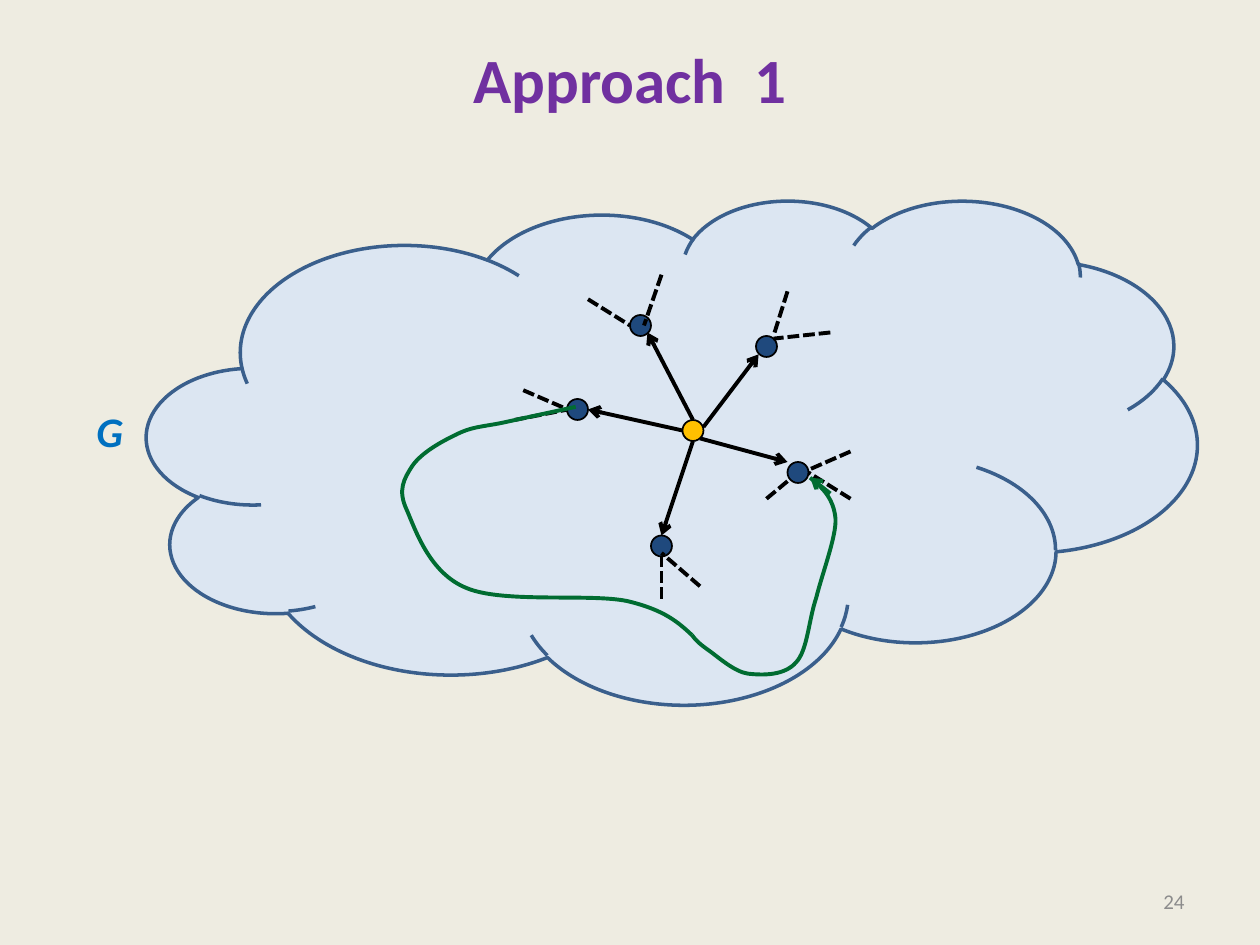
from pptx import Presentation
from pptx.dml.color import RGBColor
from pptx.enum.dml import MSO_LINE
from pptx.enum.shapes import MSO_CONNECTOR as Conn, MSO_SHAPE as Shape
from pptx.enum.text import MSO_ANCHOR as Anchor, PP_ALIGN as Align
from pptx.oxml.ns import qn
from pptx.util import Pt
from lxml.etree import SubElement

BACKGROUND = RGBColor(0xEE, 0xEC, 0xE1)
CLOUD_FILL = RGBColor(0xDC, 0xE6, 0xF2)
CLOUD_LINE = RGBColor(0x3A, 0x5F, 0x8C)
BLACK = RGBColor(0, 0, 0)
GOLD = RGBColor(0xFF, 0xC0, 0x00)
NAVY = RGBColor(0x1F, 0x49, 0x7D)
GREEN = RGBColor(0x00, 0x6C, 0x31)
PURPLE = RGBColor(0x70, 0x30, 0xA0)
BLUE = RGBColor(0x00, 0x70, 0xC0)
GREY = RGBColor(0x8C, 0x8C, 0x8C)

NODE_SIZE = 12
LINE_WIDTH = 2.25

# Top left corners of the nodes
HUB = (390, 240)
NEIGHBOURS = [(432, 192), (450, 264), (372, 306), (324, 228), (360, 180)]

# Lines: x1, y1, x2, y2
EDGES = [
    (390, 246, 336, 234), (396, 252, 378, 306), (400, 250.5, 450, 264),
    (402, 244, 433.5, 202.5), (396, 240, 370, 190),
]
STUBS = [
    (474.5, 190, 442, 193.5), (450, 166.5, 442, 192),
    (486, 285, 462, 270), (486, 258, 462, 268.5),
    (378, 342, 378, 318), (400, 335, 378, 316),
    (294, 240, 324.5, 234), (299, 223, 324.5, 234),
    (336, 171, 360, 186), (378, 157, 368, 186),
]
LAST_STUB = (438, 285, 450, 275)

# Walk: a start point, an optional straight step,
# then two control points and an end point per curve
WALK_OUT = [
    (329, 232.5), (286.5, 241.75),
    (275, 244), (269, 244), (260.5, 248.5),
    (252, 252.5), (240.5, 259), (235.5, 266.5),
    (231, 273.5), (227, 280), (232.5, 291.5),
    (237.5, 303), (245.5, 327.5), (266.5, 336),
    (287.5, 345), (337, 339), (358.5, 343.5),
    (379.5, 348.5), (387.5, 355.5), (395.5, 363),
]
WALK_BACK = [
    (395.5, 363), (397.5, 366), (400.5, 368.5), (405.5, 372),
    (411, 376), (420, 384), (427.5, 385),
    (436.5, 386), (448.5, 386), (455, 378.5),
    (461.5, 371.5), (462, 355), (466.5, 341.5),
    (470, 327.5), (478, 306.5), (477.5, 296.5),
    (476.5, 285), (470, 278.5), (463, 273),
]
WALK_TIP = (474.5, 282, 463, 273)


def set_text(sp, text, size, color, bold=False, italic=False,
             align=Align.LEFT, anchor=Anchor.TOP, wrap=True):
    tf = sp.text_frame
    tf.word_wrap = wrap
    tf.vertical_anchor = anchor
    p = tf.paragraphs[0]
    p.alignment = align
    r = p.add_run()
    r.text = text
    font = r.font
    font.name, font.size = "Calibri", Pt(size)
    font.bold, font.italic = bold, italic
    font.color.rgb = color


def add_text(slide, box, text, **fmt):
    sp = slide.shapes.add_textbox(*map(Pt, box))
    set_text(sp, text, **fmt)


def add_filled(slide, kind, box, fill, line, width):
    sp = slide.shapes.add_shape(kind, *map(Pt, box))
    sp.shadow.inherit = False
    sp.fill.solid()
    sp.fill.fore_color.rgb = fill
    sp.line.color.rgb = line
    sp.line.width = Pt(width)


def add_node(slide, corner, fill):
    add_filled(slide, Shape.OVAL, (*corner, NODE_SIZE, NODE_SIZE),
               fill, BLACK, 1)


def add_line(slide, ends, color=BLACK, dashed=False, arrow=False):
    cxn = slide.shapes.add_connector(Conn.STRAIGHT, *map(Pt, ends))
    cxn.line.color.rgb = color
    cxn.line.width = Pt(LINE_WIDTH)
    if dashed:
        cxn.line.dash_style = MSO_LINE.SQUARE_DOT
    if arrow:
        SubElement(cxn.line._get_or_add_ln(), qn("a:tailEnd"), type="arrow")
    SubElement(cxn._element.spPr, qn("a:effectLst"))


def add_curve(slide, points, color):
    start, *rest = [(Pt(x), Pt(y)) for x, y in points]
    builder = slide.shapes.build_freeform(*start)
    builder.add_line_segments(rest, close=False)
    sp = builder.convert_to_shape()

    # Join every three line segments into one cubic curve
    outline = next(sp._element.iter(qn("a:path")))
    segments = outline.findall(qn("a:lnTo"))
    for i in range(len(segments) % 3, len(segments), 3):
        curve = SubElement(outline, qn("a:cubicBezTo"))
        for segment in segments[i:i + 3]:
            curve.append(segment[0])
            outline.remove(segment)

    sp.shadow.inherit = False
    sp.fill.background()
    sp.line.color.rgb = color
    sp.line.width = Pt(LINE_WIDTH)


def main():
    prs = Presentation()
    prs.slide_width, prs.slide_height = Pt(720), Pt(540)
    slide = prs.slides.add_slide(prs.slide_layouts[5])
    slide.background.fill.solid()
    slide.background.fill.fore_color.rgb = BACKGROUND

    # Title and slide number
    title = slide.shapes.title
    title.left, title.top, title.width, title.height = map(
        Pt, (36, 21.6, 648, 90))
    set_text(title, "Approach  1", size=36, color=PURPLE, bold=True,
             align=Align.CENTER)
    title.text_frame.margin_top = Pt(1.3)
    add_text(slide, (516, 500.5, 168, 28.75), "24", size=12, color=GREY,
             align=Align.RIGHT, anchor=Anchor.MIDDLE)

    # Graph cloud and its label
    add_filled(slide, Shape.CLOUD, (84, 114, 600, 288),
               CLOUD_FILL, CLOUD_LINE, 2)
    add_text(slide, (48, 228, 30, 36), "G", size=24, color=BLUE,
             bold=True, italic=True, wrap=False)

    # Hub, its neighbours and their edges
    for ends in EDGES:
        add_line(slide, ends, arrow=True)
    add_node(slide, HUB, GOLD)
    for corner in NEIGHBOURS:
        add_node(slide, corner, NAVY)
    for ends in STUBS:
        add_line(slide, ends, dashed=True)

    # Walk between two neighbours
    for points in (WALK_OUT, WALK_BACK):
        add_curve(slide, points, GREEN)
    add_line(slide, WALK_TIP, color=GREEN, arrow=True)
    add_line(slide, LAST_STUB, dashed=True)

    prs.save("out.pptx")


if __name__ == "__main__":
    main()
